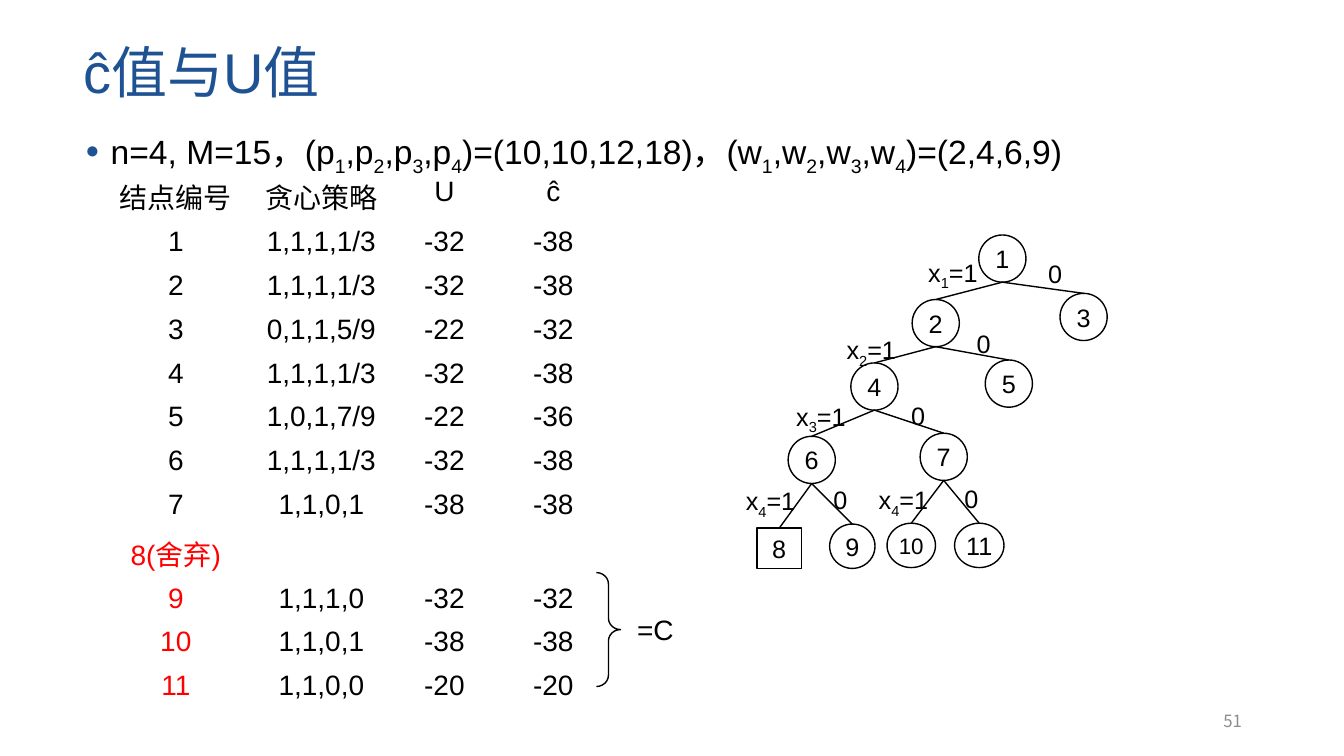
from dataclasses import dataclass

from lxml.etree import SubElement
from pptx import Presentation
from pptx.dml.color import RGBColor
from pptx.enum.shapes import MSO_CONNECTOR, MSO_SHAPE
from pptx.enum.text import MSO_ANCHOR, PP_ALIGN
from pptx.oxml.ns import qn
from pptx.util import Pt


@dataclass(frozen=True)
class Theme:
    latin: str = "Arial"
    cjk: str = "Noto Sans CJK SC"
    ink: str = "000000"
    accent: str = "1E5293"
    discarded: str = "FF0000"
    muted: str = "8C8C8C"
    title: int = 40
    body: int = 24
    table: int = 20
    tree: int = 18
    small_node: int = 16
    page: int = 12


class SlideBuilder:
    def __init__(self, slide, theme):
        self.shapes = slide.shapes
        self.theme = theme

    def add_run(self, paragraph, text, size, color, font, subscript=False):
        run = paragraph.add_run()
        run.text = text
        run.font.size = Pt(size)
        run.font.name = font
        run.font.color.rgb = RGBColor.from_string(color)
        properties = run._r.get_or_add_rPr()
        SubElement(properties, qn("a:ea"), typeface=self.theme.cjk)
        if subscript:
            properties.set("baseline", "-25000")

    def add_runs(self, frame, text, size, color=None, font=None, align=PP_ALIGN.LEFT):
        style = (size, color or self.theme.ink, font or self.theme.latin)
        paragraph = frame.paragraphs[0]
        paragraph.alignment = align
        first, *indexed = text.split("_")
        if first:
            self.add_run(paragraph, first, *style)
        for part in indexed:
            self.add_run(paragraph, part[0], *style, subscript=True)
            self.add_run(paragraph, part[1:], *style)
        return paragraph

    def text(self, box, text, size, anchor=MSO_ANCHOR.TOP, **style):
        frame = self.shapes.add_textbox(*map(Pt, box)).text_frame
        frame.word_wrap = True
        frame.vertical_anchor = anchor
        return self.add_runs(frame, text, size, **style)

    def bullet(self, paragraph):
        properties = paragraph._p.get_or_add_pPr()
        properties.set("marL", str(Pt(18)))
        properties.set("indent", str(Pt(-20)))
        color = SubElement(properties, qn("a:buClr"))
        SubElement(color, qn("a:srgbClr"), val=self.theme.accent)
        SubElement(properties, qn("a:buSzPct"), val="70000")
        SubElement(properties, qn("a:buFont"), typeface=self.theme.latin)
        SubElement(properties, qn("a:buChar"), char="●")

    def outline(self, kind, box):
        shape = self.shapes.add_shape(kind, *map(Pt, box))
        shape.shadow.inherit = False
        shape.fill.background()
        shape.line.color.rgb = RGBColor.from_string(self.theme.ink)
        shape.line.width = Pt(1)
        return shape

    def node(self, label, center, size, kind, text_size):
        (x, y), (width, height) = center, size
        box = (x - width / 2, y - height / 2, width, height)
        frame = self.outline(kind, box).text_frame
        frame.vertical_anchor = MSO_ANCHOR.MIDDLE
        frame.margin_left = frame.margin_right = Pt(2.6)
        frame.margin_top = frame.margin_bottom = Pt(2.6)
        self.add_runs(frame, label, text_size, align=PP_ALIGN.CENTER)

    def edge(self, start, end):
        line = self.shapes.add_connector(MSO_CONNECTOR.STRAIGHT, *map(Pt, start + end))
        line.line.color.rgb = RGBColor.from_string(self.theme.ink)
        line.line.width = Pt(1)
        SubElement(line._element.spPr, qn("a:effectLst"))

    def table(self, left, top, widths, heights, rows, red_rows):
        table = self.shapes.add_table(
            len(rows), len(widths), Pt(left), Pt(top), Pt(sum(widths)), Pt(sum(heights))
        ).table
        table.first_row = table.horz_banding = False
        for column, width in zip(table.columns, widths):
            column.width = Pt(width)
        for r, (values, height) in enumerate(zip(rows, heights)):
            table.rows[r].height = Pt(height)
            for c, value in enumerate(values):
                cell = table.cell(r, c)
                cell.fill.background()
                red = c == 0 and r in red_rows
                color = self.theme.discarded if red else self.theme.ink
                self.add_runs(cell.text_frame, value, self.theme.table, color,
                              align=PP_ALIGN.CENTER)


BOUNDS = [
    ("结点编号", "贪心策略", "U", "ĉ"),
    ("1", "1,1,1,1/3", "-32", "-38"),
    ("2", "1,1,1,1/3", "-32", "-38"),
    ("3", "0,1,1,5/9", "-22", "-32"),
    ("4", "1,1,1,1/3", "-32", "-38"),
    ("5", "1,0,1,7/9", "-22", "-36"),
    ("6", "1,1,1,1/3", "-32", "-38"),
    ("7", "1,1,0,1", "-38", "-38"),
    ("8(舍弃)", "", "", ""),
    ("9", "1,1,1,0", "-32", "-32"),
    ("10", "1,1,0,1", "-38", "-38"),
    ("11", "1,1,0,0", "-20", "-20"),
]
CENTERS = {
    1: (716, 184.7), 2: (668.4, 230.8), 3: (774, 226.4), 4: (624.6, 276.1),
    5: (720.6, 274), 6: (579.8, 328.5), 7: (674.1, 326.3), 8: (556.6, 391.7),
    9: (608.8, 390.2), 10: (650.9, 389.6), 11: (699.5, 389.6),
}
LEAF_SIZES = {8: (31.7, 28.8), 9: (32.4, 31.7), 10: (34.6, 31.7), 11: (35.3, 31.7)}
NODE_SIZE = (33.7, 33.7)
CHILDREN = {1: (2, 3), 2: (4, 5), 4: (6, 7), 6: (8, 9), 7: (10, 11)}
BRANCH_LABELS = [
    ("x_1=1", 655.9, 180), ("0", 741.6, 180.7),
    ("x_2=1", 597.6, 235.4), ("0", 690.5, 231.1),
    ("x_3=1", 561.6, 283), ("0", 643.7, 282.2),
    ("x_4=1", 525.6, 343.4), ("0", 588.2, 342.7),
    ("x_4=1", 620.6, 342.7), ("0", 681.8, 342),
]


def draw_tree(builder):
    theme = builder.theme
    for label, left, top in BRANCH_LABELS:
        builder.text((left, top, 60, 27.4), label, theme.tree)
    sizes = {number: LEAF_SIZES.get(number, NODE_SIZE) for number in CENTERS}
    for number, center in CENTERS.items():
        kind = MSO_SHAPE.RECTANGLE if number == 8 else MSO_SHAPE.OVAL
        text_size = theme.small_node if number == 10 else theme.tree
        builder.node(str(number), center, sizes[number], kind, text_size)
    for parent, children in CHILDREN.items():
        x, y = CENTERS[parent]
        for child in children:
            child_x, child_y = CENTERS[child]
            builder.edge((x, y + sizes[parent][1] / 2),
                         (child_x, child_y - sizes[child][1] / 2))


def main():
    deck = Presentation()
    deck.slide_width, deck.slide_height = Pt(960), Pt(540)
    theme = Theme()
    builder = SlideBuilder(deck.slides.add_slide(deck.slide_layouts[6]), theme)

    title = builder.text((52.6, 5, 828, 98), "ĉ值与U值", theme.title,
                         MSO_ANCHOR.MIDDLE, color=theme.accent)
    title.line_spacing = 0.9
    builder.text((678.2, 500.4, 216, 28.8), "51", theme.page, MSO_ANCHOR.MIDDLE,
                 color=theme.muted, font=theme.cjk, align=PP_ALIGN.RIGHT)
    heights = [35.8 if row in (0, 8) else 29.5 for row in range(len(BOUNDS))]
    builder.table(75.6, 122.4, (100, 108, 67.7, 88), heights, BOUNDS, range(8, 12))
    instance = builder.text(
        (54, 90.7, 828, 40.3),
        "n=4, M=15，(p_1,p_2,p_3,p_4)=(10,10,12,18)，(w_1,w_2,w_3,w_4)=(2,4,6,9)",
        theme.body)
    instance.line_spacing = 0.9
    builder.bullet(instance)

    draw_tree(builder)
    brace = builder.outline(MSO_SHAPE.RIGHT_BRACE, (426, 409, 17.3, 81.4))
    brace.adjustments[0] = 0.47
    builder.text((448, 434.2, 43, 31.7), "=C", theme.table)
    deck.save("out.pptx")


if __name__ == "__main__":
    main()
